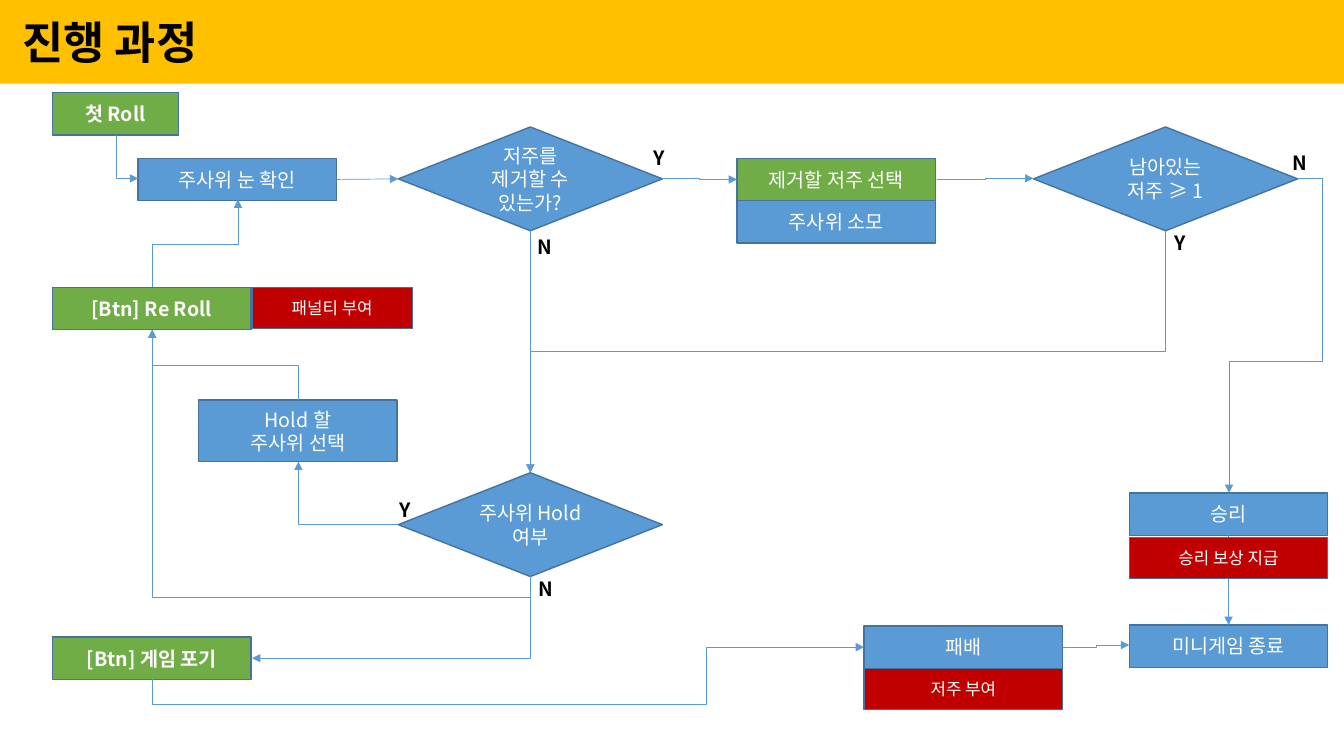
from lxml.etree import SubElement
from pptx import Presentation
from pptx.dml.color import RGBColor
from pptx.enum.shapes import MSO_CONNECTOR, MSO_SHAPE
from pptx.enum.text import MSO_ANCHOR, PP_ALIGN
from pptx.oxml.ns import qn
from pptx.util import Pt

UNIT = 9144
FONT = "Noto Sans CJK KR"
GOLD = RGBColor(0xFF, 0xC0, 0x00)
GREEN = RGBColor(0x70, 0xAD, 0x47)
BLUE = RGBColor(0x5B, 0x9B, 0xD5)
RED = RGBColor(0xC0, 0x00, 0x00)
EDGE = RGBColor(0x43, 0x73, 0x9E)
WHITE = RGBColor(0xFF, 0xFF, 0xFF)
BLACK = RGBColor(0x00, 0x00, 0x00)
WIDE, TALL = 197, 42

STEPS = {
    "roll": ("첫 Roll", 52, 92, 125, TALL, GREEN, True),
    "check": ("주사위 눈 확인", 137, 157, WIDE, TALL, BLUE, False),
    "again": ("[Btn] Re Roll", 52, 285, WIDE, TALL, GREEN, True),
    "keep": ("Hold 할\n주사위 선택", 197, 397, WIDE, 61, BLUE, False),
    "quit": ("[Btn] 게임 포기", 52, 632, WIDE, TALL, GREEN, True),
    "pick": ("제거할 저주 선택", 731, 157, WIDE, TALL, GREEN, False),
    "spend": ("주사위 소모", 731, 199, WIDE, TALL, BLUE, False),
    "lose": ("패배", 857, 621, WIDE, TALL, BLUE, False),
    "win": ("승리", 1120, 489, WIDE, TALL, BLUE, False),
    "end": ("미니게임 종료", 1120, 620, WIDE, TALL, BLUE, False),
}
TESTS = {
    "curse": ("저주를 제거할 수 있는가?", 395, 126),
    "left": ("남아있는\n저주 ≥ 1", 1025, 126),
    "hold": ("주사위 Hold 여부", 395, 469),
}
NOTES = [
    ("패널티 부여", 250, 285, 159),
    ("저주 부여", 857, 663, WIDE),
    ("승리 보상 지급", 1120, 533, WIDE),
]
MARKS = [
    ("Y", 1155, 224), ("N", 1272, 145), ("Y", 638, 140),
    ("N", 523, 228), ("N", 524, 567), ("Y", 386, 489),
]
LINKS = [("check", 3, "curse", 1), ("curse", 2, "hold", 0), ("win", 2, "end", 0)]
BENDS = [
    [(115, 134), (115, 177), (137, 177)],
    [(395, 520), (296, 520), (296, 458)],
    [(526, 571), (526, 653), (250, 653)],
    [(151, 674), (151, 699), (701, 699), (701, 642), (857, 642)],
    [(1054, 642), (1087, 642), (1087, 640), (1120, 640)],
    [(1287, 177), (1312, 177), (1312, 359), (1219, 359), (1219, 489)],
    [(1156, 229), (1156, 349), (526, 349), (526, 469)],
    [(526, 571), (526, 593), (151, 593), (151, 327)],
    [(296, 397), (296, 362), (151, 362), (151, 327)],
    [(151, 285), (151, 242), (236, 242), (236, 198)],
    [(657, 177), (694, 177), (694, 178), (731, 178)],
    [(929, 178), (977, 178), (977, 177), (1025, 177)],
]


def px(num):
    """Turn pixels into EMU."""
    return round(num * UNIT)


def write(shape, text, size, tint, bold=False, align=PP_ALIGN.CENTER):
    """Fill a shape with styled paragraphs."""
    frame = shape.text_frame
    frame.word_wrap = True
    frame.text = text
    for para in frame.paragraphs:
        para.alignment = align
        for run in para.runs:
            for key, val in {"name": FONT, "size": Pt(size), "bold": bold}.items():
                setattr(run.font, key, val)
            run.font.color.rgb = tint
            SubElement(run.font._element, qn("a:ea"), typeface=FONT)


def block(slide, kind, area, fill, edge=EDGE):
    """Draw a filled preset shape."""
    shape = slide.shapes.add_shape(kind, *map(px, area))
    shape.shadow.inherit = False
    shape.fill.solid()
    shape.fill.fore_color.rgb = fill
    if edge is None:
        shape.line.fill.background()
    else:
        shape.line.color.rgb = edge
        shape.line.width = Pt(1)
    shape.text_frame.vertical_anchor = MSO_ANCHOR.MIDDLE
    return shape


def mark(slide, text, left, top):
    """Place a branch letter."""
    box = slide.shapes.add_textbox(px(left), px(top), px(39), px(34))
    write(box, text, 14, BLACK, True, PP_ALIGN.LEFT)


def arrow(slide, kind, start, stop):
    """Draw a thin connector with an arrowhead."""
    line = slide.shapes.add_connector(kind, *map(px, start + stop))
    line.line.color.rgb = BLUE
    line.line.width = Pt(0.5)
    SubElement(line.line._get_or_add_ln(), qn("a:tailEnd"), type="triangle")
    SubElement(line._element.spPr, qn("a:effectLst"))
    return line


def link(slide, nodes, first, exit, last, entry):
    """Join two nodes with a straight arrow."""
    line = arrow(slide, MSO_CONNECTOR.STRAIGHT, (0, 0), (0, 0))
    line.begin_connect(nodes[first], exit)
    line.end_connect(nodes[last], entry)


def bend(slide, route):
    """Draw an elbow arrow through right-angled points."""
    (ax, ay), (bx, by) = route[0], route[-1]
    line = arrow(slide, MSO_CONNECTOR.ELBOW, route[0], route[-1])
    down = route[0][0] == route[1][0]
    dx, dy = bx - ax, by - ay
    run, rise = (dy, -dx) if down else (dx, dy)
    wide, high = abs(run), abs(rise)
    place = {
        "left": px((ax + bx - wide) / 2), "top": px((ay + by - high) / 2),
        "width": px(wide), "height": px(high),
    }
    for key, val in place.items():
        setattr(line, key, val)
    form = line._element.spPr.find(qn("a:xfrm"))
    turn = {"rot": 5400000 * down, "flipH": int(run < 0), "flipV": int(rise < 0)}
    for key, val in turn.items():
        form.set(key, str(val))
    shape = line._element.spPr.find(qn("a:prstGeom"))
    shape.set("prst", f"bentConnector{len(route) - 1}")
    ratios = []
    if len(route) > 3:
        ratios.append((route[1][1] - ay) / dy if down else (route[1][0] - ax) / dx)
    if len(route) > 4:
        ratios.append((route[2][0] - ax) / dx if down else (route[2][1] - ay) / dy)
    guides = shape.find(qn("a:avLst"))
    for rank, ratio in enumerate(ratios, 1):
        SubElement(guides, qn("a:gd"), name=f"adj{rank}", fmla=f"val {round(ratio * 100000)}")


def main():
    """Build the game flow slide."""
    deck = Presentation()
    deck.slide_width, deck.slide_height = px(1333), px(750)
    slide = deck.slides.add_slide(deck.slide_layouts[6])
    head = block(slide, MSO_SHAPE.RECTANGLE, (0, 0, 1333, 83), GOLD, None)
    head.text_frame.margin_left = px(22)
    write(head, "진행 과정", 32, BLACK, True, PP_ALIGN.LEFT)
    nodes = {}
    for name, (text, *area, fill, bold) in STEPS.items():
        nodes[name] = block(slide, MSO_SHAPE.RECTANGLE, area, fill)
        write(nodes[name], text, 14, WHITE, bold)
    for name, (text, left, top) in TESTS.items():
        nodes[name] = block(slide, MSO_SHAPE.DIAMOND, (left, top, 262, 103), BLUE)
        write(nodes[name], text, 14, WHITE)
    for ends in LINKS:
        link(slide, nodes, *ends)
    for route in BENDS:
        bend(slide, route)
    for text, left, top, width in NOTES:
        note = block(slide, MSO_SHAPE.RECTANGLE, (left, top, width, 41), RED)
        write(note, text, 12, WHITE)
    for item in MARKS:
        mark(slide, *item)
    deck.save("out.pptx")


if __name__ == "__main__":
    main()
